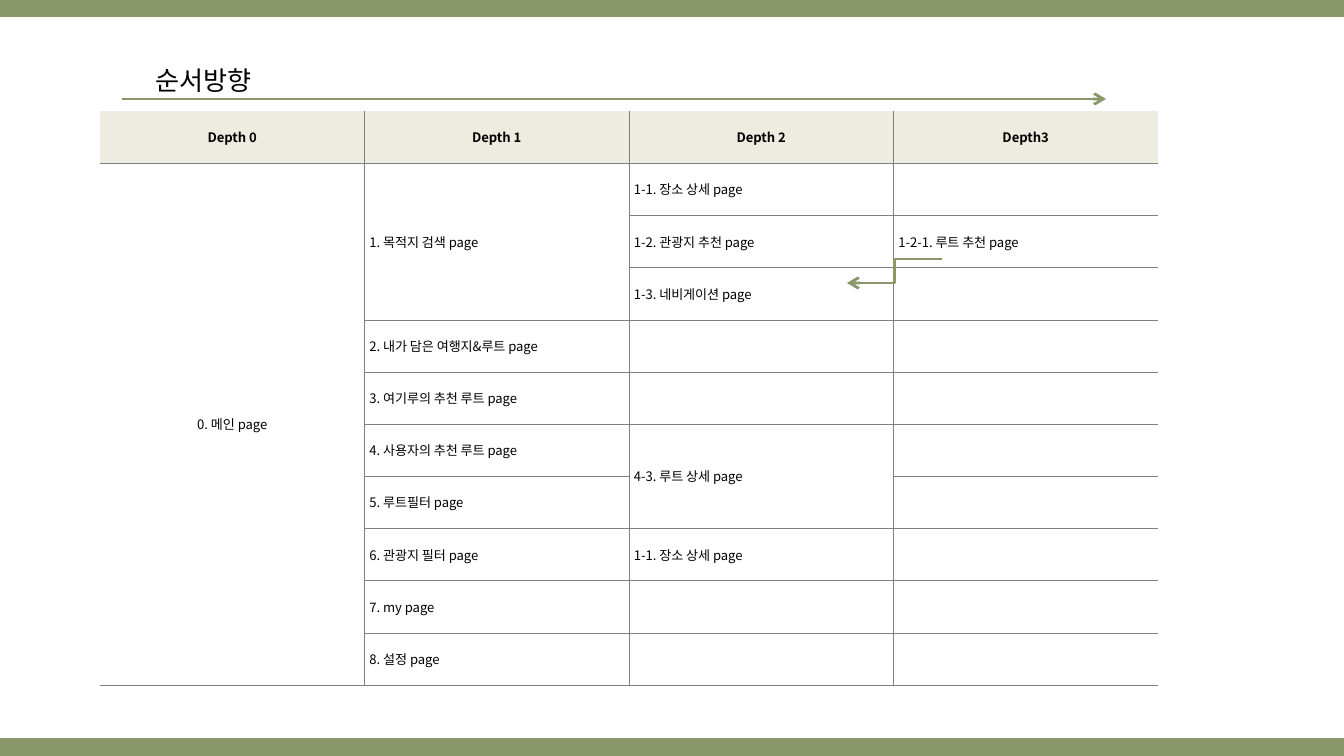
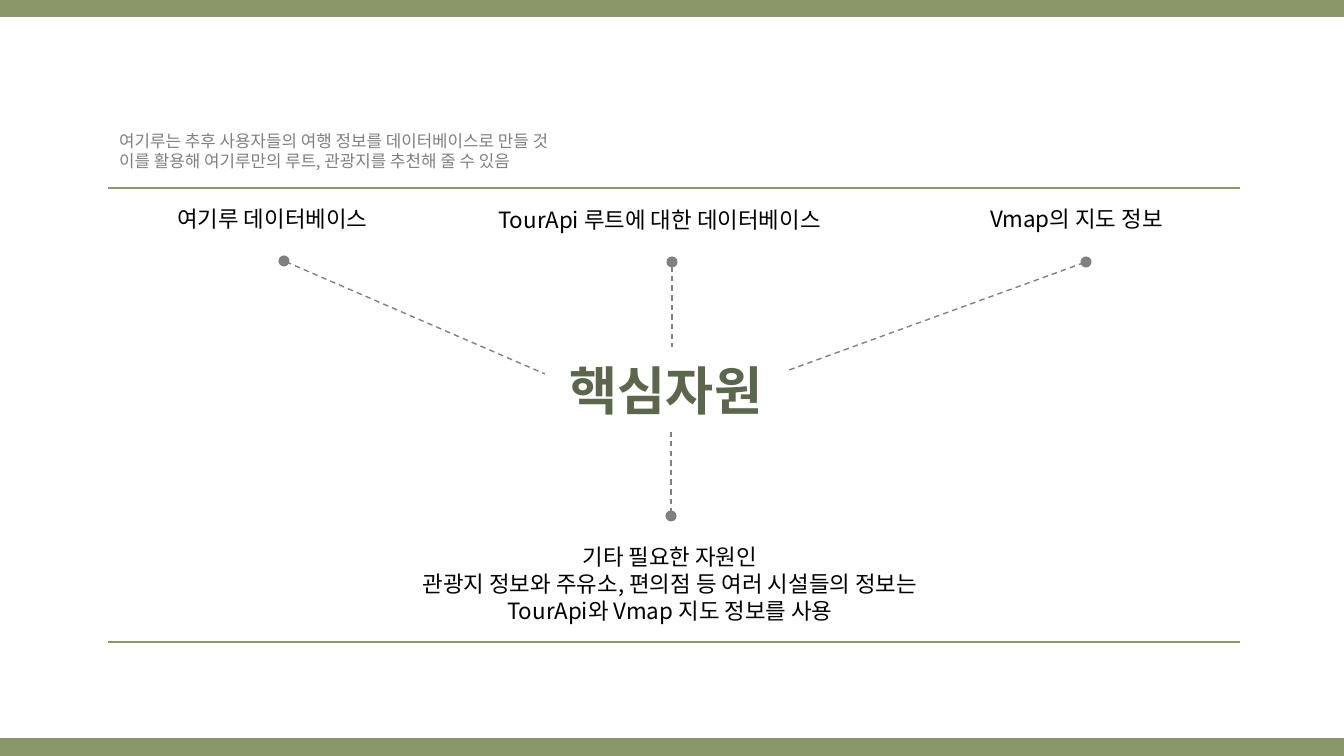
import pptx
import pptx.util
import pptx.dml.color
import pptx.enum.dml
import pptx.enum.shapes
import pptx.enum.text
import pptx.oxml.ns
from lxml import etree

PX = 914400 / 134.4
WIDTH, HEIGHT = 1344, 756
FONT = "Noto Sans CJK KR"
COLORS = {
    "olive": "8A9869",
    "moss": "5B664C",
    "gray": "808080",
    "sand": "EEECE1",
    "black": "000000",
    "white": "FFFFFF",
}
ALIGN = pptx.enum.text.PP_ALIGN
ANCHOR = pptx.enum.text.MSO_ANCHOR
AUTO_SIZE = pptx.enum.text.MSO_AUTO_SIZE
CONNECTOR = pptx.enum.shapes.MSO_CONNECTOR
qn = pptx.oxml.ns.qn


def px(length):
    return pptx.util.Emu(round(length * PX))


def rgb(name):
    return pptx.dml.color.RGBColor.from_string(COLORS[name])


def write(frame, text, size=12, color="black", bold=False, align=ALIGN.LEFT, after=None):
    """Fill a text frame, one paragraph for each line of text."""
    for index, line in enumerate(text.split("\n")):
        paragraph = frame.paragraphs[0] if index == 0 else frame.add_paragraph()
        paragraph.alignment = align
        if after is not None:
            paragraph.space_after = pptx.util.Pt(after)
        if not line:
            etree.SubElement(paragraph._p, qn("a:endParaRPr"), sz=str(size * 100))
            continue
        run = paragraph.add_run()
        run.text = line
        run.font.size = pptx.util.Pt(size)
        run.font.bold = bold
        run.font.color.rgb = rgb(color)
        run.font.name = FONT
        etree.SubElement(run.font._element, qn("a:ea"), typeface=FONT)


class Deck:
    def __init__(self):
        self.presentation = pptx.Presentation()
        self.presentation.slide_width = px(WIDTH)
        self.presentation.slide_height = px(HEIGHT)
        self.slide = None

    def add_slide(self):
        """Start a slide with a title and the olive bands at its edges."""
        title_only = self.presentation.slide_layouts[5]
        self.slide = self.presentation.slides.add_slide(title_only)
        for y in (8, 747):
            self.line((0, y), (WIDTH, y), weight=10)

    def title(self, text, box, anchor=ANCHOR.TOP, wrap=False, fill=None, **style):
        title = self.slide.shapes.title
        title.left, title.top, title.width, title.height = map(px, box)
        frame = title.text_frame
        frame.word_wrap = wrap
        frame.auto_size = AUTO_SIZE.NONE
        frame.vertical_anchor = anchor
        if fill:
            title.fill.solid()
            title.fill.fore_color.rgb = rgb(fill)
        write(frame, text, **style)
        self.slide.shapes._spTree.append(title._element)

    def text(self, text, box, **style):
        frame = self.slide.shapes.add_textbox(*map(px, box)).text_frame
        frame.word_wrap = False
        frame.auto_size = AUTO_SIZE.SHAPE_TO_FIT_TEXT
        write(frame, text, **style)

    def line(self, start, end, color="olive", weight=1.5, kind=CONNECTOR.STRAIGHT,
             dashed=False, head=None, tail=None):
        connector = self.slide.shapes.add_connector(kind, *map(px, start + end))
        connector.line.color.rgb = rgb(color)
        connector.line.width = pptx.util.Pt(weight)
        if dashed:
            connector.line.dash_style = pptx.enum.dml.MSO_LINE.DASH
        properties = connector._element.spPr
        outline = properties.find(qn("a:ln"))
        for tag, style in (("a:headEnd", head), ("a:tailEnd", tail)):
            if style:
                etree.SubElement(outline, qn(tag), type=style)
        etree.SubElement(properties, qn("a:effectLst"))

    def border(self, cell, side, visible):
        edge = etree.SubElement(cell._tc.get_or_add_tcPr(), qn("a:ln" + side), w="3175")
        if visible:
            fill = etree.SubElement(edge, qn("a:solidFill"))
            etree.SubElement(fill, qn("a:srgbClr"), val=COLORS["gray"])
        else:
            etree.SubElement(edge, qn("a:noFill"))

    def table(self, rows, box, merges):
        """Draw rows under a header; merges lists (column, first row, last row)."""
        columns = len(rows[0])
        table = self.slide.shapes.add_table(len(rows), columns, *map(px, box)).table
        table.first_row = table.horz_banding = False
        for r, row in enumerate(rows):
            for c, text in enumerate(row):
                cell = table.cell(r, c)
                cell.margin_left = cell.margin_right = px(5)
                cell.margin_top = cell.margin_bottom = px(8)
                cell.vertical_anchor = ANCHOR.MIDDLE
                write(cell.text_frame, text, size=7, bold=r == 0,
                      align=ALIGN.CENTER if r == 0 or c == 0 else ALIGN.LEFT,
                      after=6 if c == 1 and r > 3 else None)
                for side, visible in (("L", c > 0), ("R", c < columns - 1),
                                      ("T", r > 0), ("B", True)):
                    self.border(cell, side, visible)
                if r == 0:
                    cell.fill.solid()
                    cell.fill.fore_color.rgb = rgb("sand")
                else:
                    cell.fill.background()
        for column, first, last in merges:
            table.cell(first, column).merge(table.cell(last, column))


PAGES = [
    ("Depth 0", "Depth 1", "Depth 2", "Depth3"),
    ("0. 메인 page", "1. 목적지 검색 page", "1-1. 장소 상세 page", ""),
    ("", "", "1-2. 관광지 추천 page", "1-2-1. 루트 추천 page"),
    ("", "", "1-3. 네비게이션 page", ""),
    ("", "2. 내가 담은 여행지&루트 page", "", ""),
    ("", "3. 여기루의 추천 루트 page", "", ""),
    ("", "4. 사용자의 추천 루트 page", "4-3. 루트 상세 page", ""),
    ("", "5. 루트필터 page", "", ""),
    ("", "6. 관광지 필터 page", "1-1. 장소 상세 page", ""),
    ("", "7. my page", "", ""),
    ("", "8. 설정 page", "", ""),
]


def page_order(deck):
    deck.add_slide()
    deck.table(PAGES, (100, 111, 1058, 574), [(0, 1, 10), (1, 1, 3), (2, 6, 7)])
    deck.line((942, 259), (847, 283), kind=CONNECTOR.ELBOW, tail="arrow")
    deck.line((122, 99), (1106, 99), tail="arrow")
    deck.title("순서방향", (142, 58, 133, 46), size=14)


def core_resources(deck):
    deck.add_slide()
    for y in (188, 642):
        deck.line((108, y), (1240, y))
    deck.text("여기루는 추후 사용자들의 여행 정보를 데이터베이스로 만들 것\n"
              "이를 활용해 여기루만의 루트, 관광지를 추천해 줄 수 있음",
              (106, 124, 513, 54), size=9, color="gray")
    resources = [
        ("여기루 데이터베이스", (164, 199, 239, 40), (649, 419), (284, 261)),
        ("TourApi 루트에 대한 데이터베이스", (485, 200, 384, 40), (672, 421), (672, 262)),
        ("Vmap의 지도 정보", (977, 199, 218, 40), (649, 421), (1086, 262)),
    ]
    spokes = [((671, 388), (671, 516))]
    for label, box, hub, dot in resources:
        deck.text(label, box)
        spokes.append((hub, dot))
    for hub, dot in spokes:
        deck.line(hub, dot, color="gray", weight=0.75, dashed=True, head="oval", tail="oval")
    deck.text("기타 필요한 자원인\n"
              "관광지 정보와 주유소, 편의점 등 여러 시설들의 정보는\n"
              "TourApi와 Vmap 지도 정보를 사용",
              (371, 537, 598, 95), align=ALIGN.CENTER)
    deck.title("핵심자원", (545, 347, 242, 85), anchor=ANCHOR.MIDDLE, wrap=True,
               fill="white", size=28, color="moss", bold=True, align=ALIGN.CENTER)


def main():
    deck = Deck()
    page_order(deck)
    core_resources(deck)
    deck.presentation.save("out.pptx")


if __name__ == "__main__":
    main()
